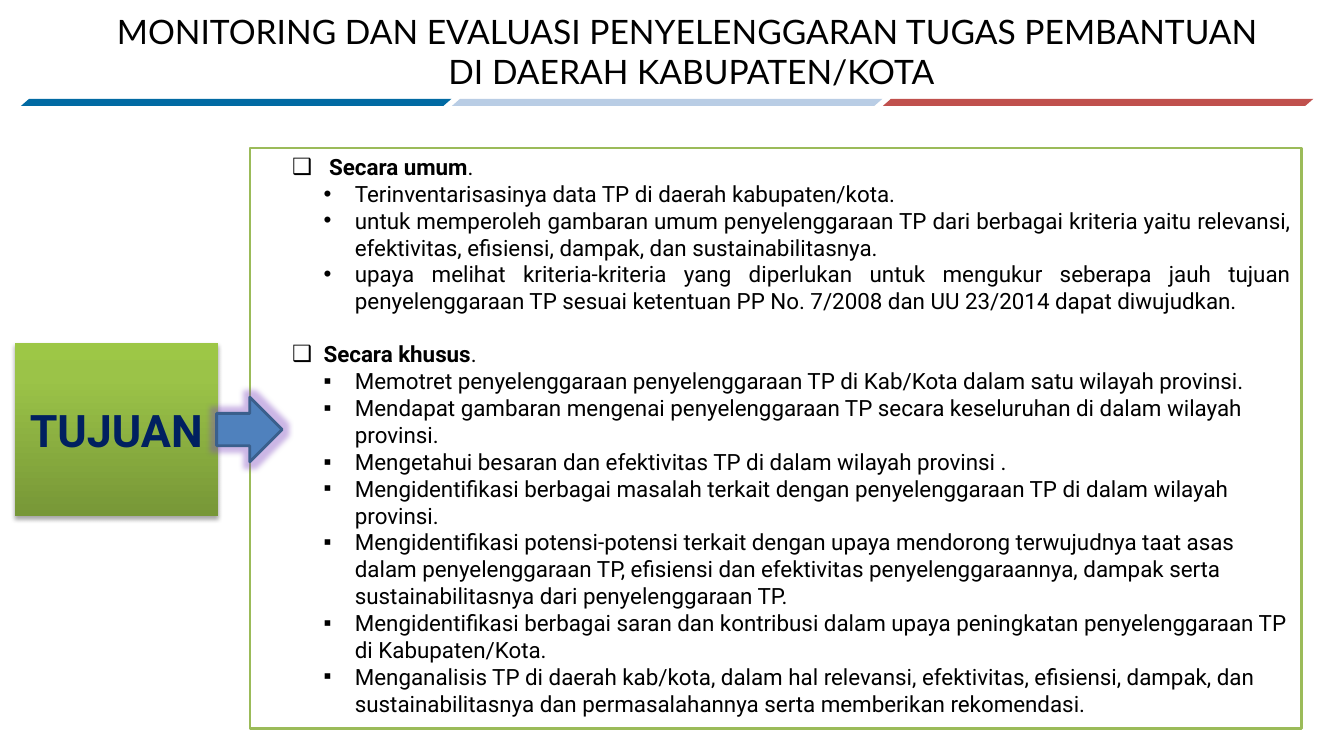
from dataclasses import dataclass
from typing import Any

from lxml import etree
from pptx import Presentation
from pptx import util as u
from pptx.dml.color import RGBColor
from pptx.enum import shapes, text
from pptx.oxml import ns

Cm, Pt = u.Cm, u.Pt
Kind, Align, Anchor = shapes.MSO_SHAPE, text.PP_ALIGN, text.MSO_ANCHOR


@dataclass
class Box:
    kind: Any
    left: float
    top: float
    width: float
    height: float
    fill: str
    line: str = ""


@dataclass
class Item:
    words: str
    mark: str
    align: Any = Align.LEFT
    head: bool = False
    gap: float = 0


BARS = ["016AA3", "B9CDE5", "C0504D"]
TITLE = ["MONITORING DAN EVALUASI PENYELENGGARAN TUGAS PEMBANTUAN ",
         "DI DAERAH KABUPATEN/KOTA"]
BROAD = [
    "Terinventarisasinya data TP di daerah kabupaten/kota.",
    "untuk memperoleh gambaran umum penyelenggaraan TP dari berbagai kriteria "
    "yaitu relevansi, efektivitas, efisiensi, dampak, dan sustainabilitasnya.",
    "upaya melihat kriteria-kriteria yang diperlukan untuk mengukur seberapa jauh tujuan "
    "penyelenggaraan TP sesuai ketentuan PP No. 7/2008 dan UU 23/2014 dapat diwujudkan.",
]
NARROW = [
    "Memotret penyelenggaraan penyelenggaraan TP di Kab/Kota dalam satu wilayah provinsi.",
    "Mendapat gambaran mengenai penyelenggaraan TP secara keseluruhan di dalam wilayah provinsi.",
    "Mengetahui besaran dan efektivitas TP di dalam wilayah provinsi .",
    "Mengidentifikasi berbagai masalah terkait dengan penyelenggaraan TP di dalam wilayah provinsi.",
    "Mengidentifikasi potensi-potensi terkait dengan upaya mendorong terwujudnya taat asas "
    "dalam penyelenggaraan TP, efisiensi dan efektivitas penyelenggaraannya, dampak serta "
    "sustainabilitasnya dari penyelenggaraan TP.",
    "Mengidentifikasi berbagai saran dan kontribusi dalam upaya peningkatan penyelenggaraan TP "
    "di Kabupaten/Kota.",
    "Menganalisis TP di daerah kab/kota, dalam hal relevansi, efektivitas, efisiensi, dampak, dan "
    "sustainabilitasnya dan permasalahannya serta memberikan rekomendasi.",
]
ITEMS = [
    Item(" Secara umum", "❑", Align.JUSTIFY, head=True),
    *[Item(words, "•", Align.JUSTIFY) for words in BROAD],
    Item("Secara khusus", "❑", head=True, gap=18.75),
    *[Item(words, "▪") for words in NARROW],
]


def put(item: Any, form: dict) -> None:
    for name, value in form.items():
        setattr(item, name, value)


def tint(part: Any, code: str) -> None:
    """Colour a fill, a line's fill or a font's fill."""
    part.solid()
    part.fore_color.rgb = RGBColor.from_string(code)


def node(tag: str, code: str, alpha: int | None = None, **attrs: Any) -> Any:
    """Make a drawing element that holds one colour."""
    top = etree.Element(ns.qn(tag), {key: str(val) for key, val in attrs.items()})
    hue = etree.SubElement(top, ns.qn("a:srgbClr"), val=code)
    if alpha is not None:
        etree.SubElement(hue, ns.qn("a:alpha"), val=str(alpha * 1000))
    return top


def place(shape: Any, left: float, top: float, width: float, height: float) -> None:
    put(shape, dict(left=Cm(left), top=Cm(top), width=Cm(width), height=Cm(height)))


def draw(slide: Any, box: Box) -> Any:
    shape = slide.shapes.add_shape(
        box.kind, Cm(box.left), Cm(box.top), Cm(box.width), Cm(box.height))
    shape.shadow.inherit = False
    tint(shape.fill, box.fill)
    if box.line:
        edge(shape, box.line)
    else:
        shape.line.fill.background()
    return shape


def edge(shape: Any, code: str) -> None:
    tint(shape.line.fill, code)
    shape.line.width = Pt(2)


def effect(shape: Any, part: Any) -> None:
    shape._element.spPr.find(ns.qn("a:effectLst")).append(part)


def write(para: Any, words: str, face: str, size: float, code: str, bold: bool = False) -> None:
    run = para.add_run()
    run.text = words
    put(run.font, dict(name=face, size=Pt(size), bold=bold))
    tint(run.font.fill, code)


def lines(frame: Any, count: int) -> list:
    return [frame.paragraphs[0]] + [frame.add_paragraph() for _ in range(count - 1)]


def mark(para: Any, sign: str, left: float) -> None:
    prop = para._p.get_or_add_pPr()
    prop.set("marL", str(Cm(left)))
    prop.set("indent", str(-Cm(0.79)))
    etree.SubElement(prop, ns.qn("a:buFont"), typeface="Arial")
    etree.SubElement(prop, ns.qn("a:buChar"), char=sign)


def main() -> None:
    deck = Presentation()
    put(deck, dict(slide_width=Cm(33.87), slide_height=Cm(19.05)))
    slide = deck.slides.add_slide(deck.slide_layouts[1])
    title, body = slide.placeholders

    # Title
    place(title, 0.94, -0.03, 32.97, 2.64)
    frame = title.text_frame
    put(frame, dict(word_wrap=True, auto_size=text.MSO_AUTO_SIZE.NONE,
                    vertical_anchor=Anchor.MIDDLE, margin_left=Cm(0.33),
                    margin_right=Cm(0.33), margin_top=Cm(0.18), margin_bottom=Cm(0.18)))
    for para, words in zip(lines(frame, len(TITLE)), TITLE):
        put(para, dict(alignment=Align.CENTER, space_before=Pt(0)))
        write(para, words, "Lato", 24, "000000")

    # List of aims
    place(body, 6.3, 3.73, 26.49, 14.63)
    tint(body.fill, "FFFFFF")
    edge(body, "9BBB59")
    frame = body.text_frame
    put(frame, dict(word_wrap=True, auto_size=text.MSO_AUTO_SIZE.NONE,
                    vertical_anchor=Anchor.TOP))
    for para, item in zip(lines(frame, len(ITEMS)), ITEMS):
        put(para, dict(alignment=item.align, space_before=Pt(item.gap), line_spacing=1.0))
        mark(para, item.mark, 1.6 if item.head else 2.39)
        write(para, item.words, "Roboto", 16, "000000", item.head)
        if item.head:
            write(para, ".", "Roboto", 16, "000000")

    # Green label
    label = draw(slide, Box(Kind.RECTANGLE, 0.38, 8.64, 5.11, 4.37, "9BC348"))
    label.fill.gradient()
    label.fill.gradient_angle = 90
    stops = label._element.spPr.find(".//" + ns.qn("a:gsLst"))
    stops[:] = [node("a:gs", code, pos=pos * 1000)
                for pos, code in [(0, "779737"), (80, "9BC348"), (100, "9DC746")]]
    effect(label, node("a:outerShdw", "000000", 35, blurRad=Pt(3.1), dist=Pt(1.8),
                       dir=5400000, rotWithShape=0))
    frame = label.text_frame
    put(frame, dict(word_wrap=True, vertical_anchor=Anchor.MIDDLE))
    para = frame.paragraphs[0]
    para.alignment = Align.CENTER
    write(para, "TUJUAN", "Roboto", 32, "002060", True)

    # Arrow with a glow
    arrow = draw(slide, Box(Kind.RIGHT_ARROW, 5.46, 10.01, 1.65, 1.63, "4F81BD", "3A5F8C"))
    effect(arrow, node("a:glow", "7F49C0", 40, rad=Pt(8)))

    # Bars under the title
    for i, code in enumerate(BARS):
        bar = draw(slide, Box(Kind.PARALLELOGRAM, 0.53 + 10.86 * i, 2.49, 10.85, 0.18, code))
        bar.adjustments[0] = 1.14

    deck.save("out.pptx")


if __name__ == "__main__":
    main()
